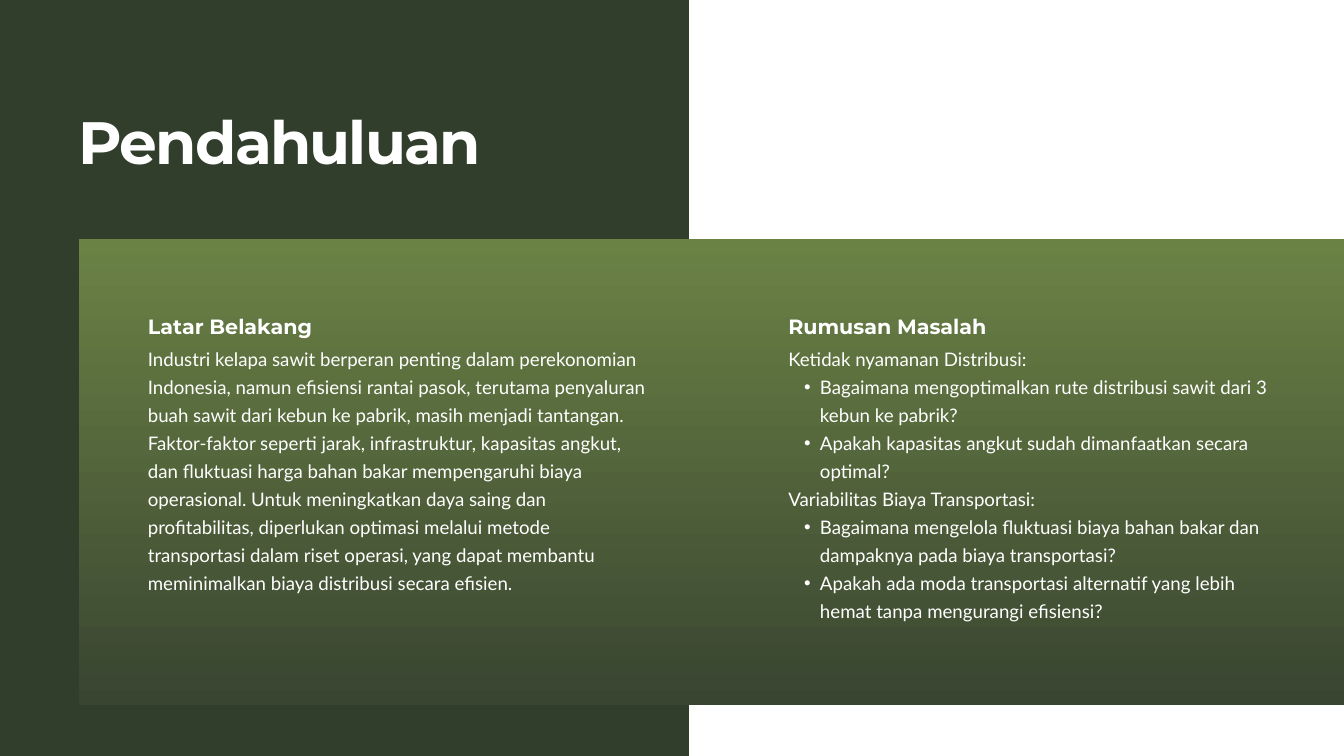
from lxml.etree import SubElement
from pptx import Presentation
from pptx.dml.color import RGBColor
from pptx.enum.shapes import MSO_SHAPE
from pptx.enum.text import MSO_ANCHOR, MSO_AUTO_SIZE, PP_ALIGN
from pptx.oxml.ns import qn
from pptx.util import Pt

WHITE = RGBColor(0xFF, 0xFF, 0xFF)
FOREST = RGBColor(0x31, 0x3E, 0x2B)
LEAF = RGBColor(0x6B, 0x82, 0x45)
MOSS = RGBColor(0x39, 0x45, 0x31)

WIDTH, HEIGHT = 1440, 810
SIDE_BOX = (0, 0, 738, HEIGHT)
PANEL_BOX = (84.24, 256.5, WIDTH - 84.24, 499)
TITLE_BOX = (84.24, 119.5, 490, 70.5)
BACKGROUND_BOX = (158.4, 332, 533.5, 334)
PROBLEM_BOX = (844.56, 332, 515, 334)

BACKGROUND = [(0, "Industri kelapa sawit berperan penting dalam perekonomian Indonesia, "
                  "namun efisiensi rantai pasok, terutama penyaluran buah sawit dari kebun "
                  "ke pabrik, masih menjadi tantangan. Faktor-faktor seperti jarak, "
                  "infrastruktur, kapasitas angkut, dan fluktuasi harga bahan bakar "
                  "mempengaruhi biaya operasional. Untuk meningkatkan daya saing dan "
                  "profitabilitas, diperlukan optimasi melalui metode transportasi dalam "
                  "riset operasi, yang dapat membantu meminimalkan biaya distribusi secara "
                  "efisien.")]
PROBLEMS = [
    (0, "Ketidak nyamanan Distribusi:"),
    (1, "Bagaimana mengoptimalkan rute distribusi sawit dari 3 kebun ke pabrik?"),
    (1, "Apakah kapasitas angkut sudah dimanfaatkan secara optimal?"),
    (0, "Variabilitas Biaya Transportasi:"),
    (1, "Bagaimana mengelola fluktuasi biaya bahan bakar dan dampaknya pada biaya transportasi?"),
    (1, "Apakah ada moda transportasi alternatif yang lebih hemat tanpa mengurangi efisiensi?"),
]


def place(sp, box):
    """Move a shape to a box given in points."""
    sp.left, sp.top, sp.width, sp.height = (Pt(v) for v in box)


def add_block(slide, box, depth):
    """Add a borderless rectangle at the given depth behind the text."""
    sp = slide.shapes.add_shape(MSO_SHAPE.RECTANGLE, *(Pt(v) for v in box))
    sp.shadow.inherit = False
    sp.line.fill.background()
    slide.shapes.element.insert(2 + depth, sp.element)
    return sp


def add_backdrop(slide):
    """Draw the dark side and the gradient panel."""
    side = add_block(slide, SIDE_BOX, 0)
    side.fill.solid()
    side.fill.fore_color.rgb = FOREST
    panel = add_block(slide, PANEL_BOX, 1)
    panel.fill.gradient()
    panel.fill.gradient_angle = 270
    for stop, color in zip(panel.fill.gradient_stops, (LEAF, MOSS)):
        stop.color.rgb = color


def set_bullet(p, level):
    """Give a paragraph its indent and bullet, or none at level 0."""
    pPr = p._p.get_or_add_pPr()
    pPr.set("marL", str(Pt(34 * level)))
    pPr.set("indent", str(Pt(-17 * level)))
    if level:
        p.level = level
        SubElement(pPr, qn("a:buChar"), char="•")
    else:
        SubElement(pPr, qn("a:buNone"))


def fill_text(sp, box, items, font, size, leading, bold=False):
    """Place a placeholder and fill it with (level, text) paragraphs."""
    place(sp, box)
    tf = sp.text_frame
    tf.margin_left = tf.margin_right = tf.margin_top = tf.margin_bottom = 0
    tf.word_wrap = True
    tf.auto_size = MSO_AUTO_SIZE.NONE
    tf.vertical_anchor = MSO_ANCHOR.TOP
    tf.text = "\n".join(text for _, text in items)
    for p, (level, _) in zip(tf.paragraphs, items):
        set_bullet(p, level)
        p.alignment = PP_ALIGN.LEFT
        p.line_spacing = Pt(leading)
        p.space_before = p.space_after = Pt(0)
        for r in p.runs:
            r.font.name, r.font.size, r.font.bold = font, Pt(size), bold
            r.font.color.rgb = WHITE


def add_title(sp, box, text):
    """Fill the slide title with tightened letters."""
    fill_text(sp, box, [(0, text)], "Montserrat", 64, 69.2, bold=True)
    sp.text_frame.paragraphs[0].runs[0].font._element.set("spc", "-190")


def add_column(heading, body, box, title, items):
    """Fill one column: a heading above its text."""
    left, top, width, height = box
    gap = 34.5
    fill_text(heading, (left, top, width, 29.5), [(0, title)], "Montserrat", 22.1, 30.9, bold=True)
    fill_text(body, (left, top + gap, width, height - gap), items, "Lato", 20, 30)


def main():
    """Build and save the slide."""
    prs = Presentation()
    prs.slide_width, prs.slide_height = Pt(WIDTH), Pt(HEIGHT)
    slide = prs.slides.add_slide(prs.slide_layouts.get_by_name("Comparison"))
    title, *columns = slide.placeholders
    add_backdrop(slide)
    add_title(title, TITLE_BOX, "Pendahuluan")
    add_column(*columns[:2], BACKGROUND_BOX, "Latar Belakang", BACKGROUND)
    add_column(*columns[2:], PROBLEM_BOX, "Rumusan Masalah", PROBLEMS)
    prs.save("out.pptx")


if __name__ == "__main__":
    main()
